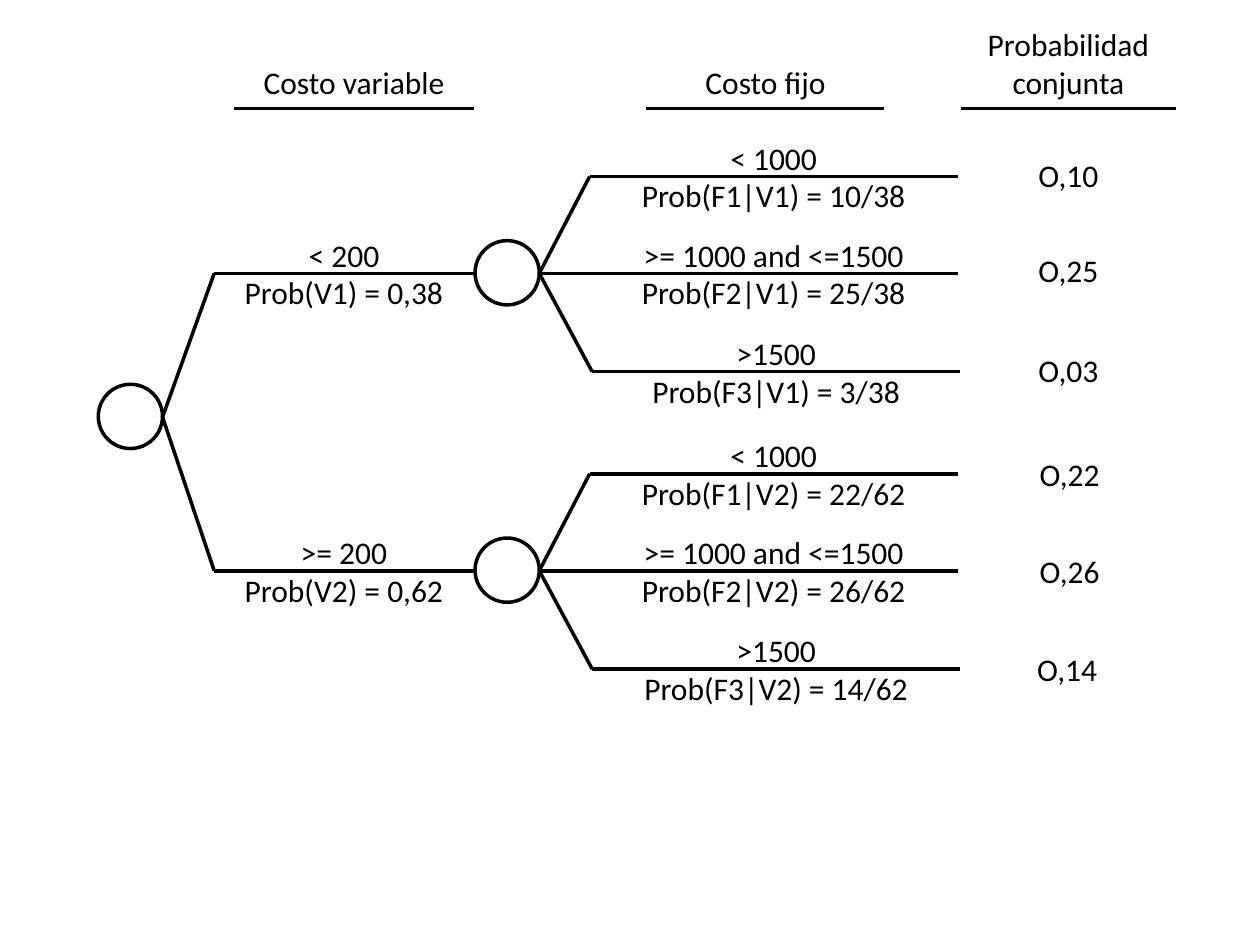
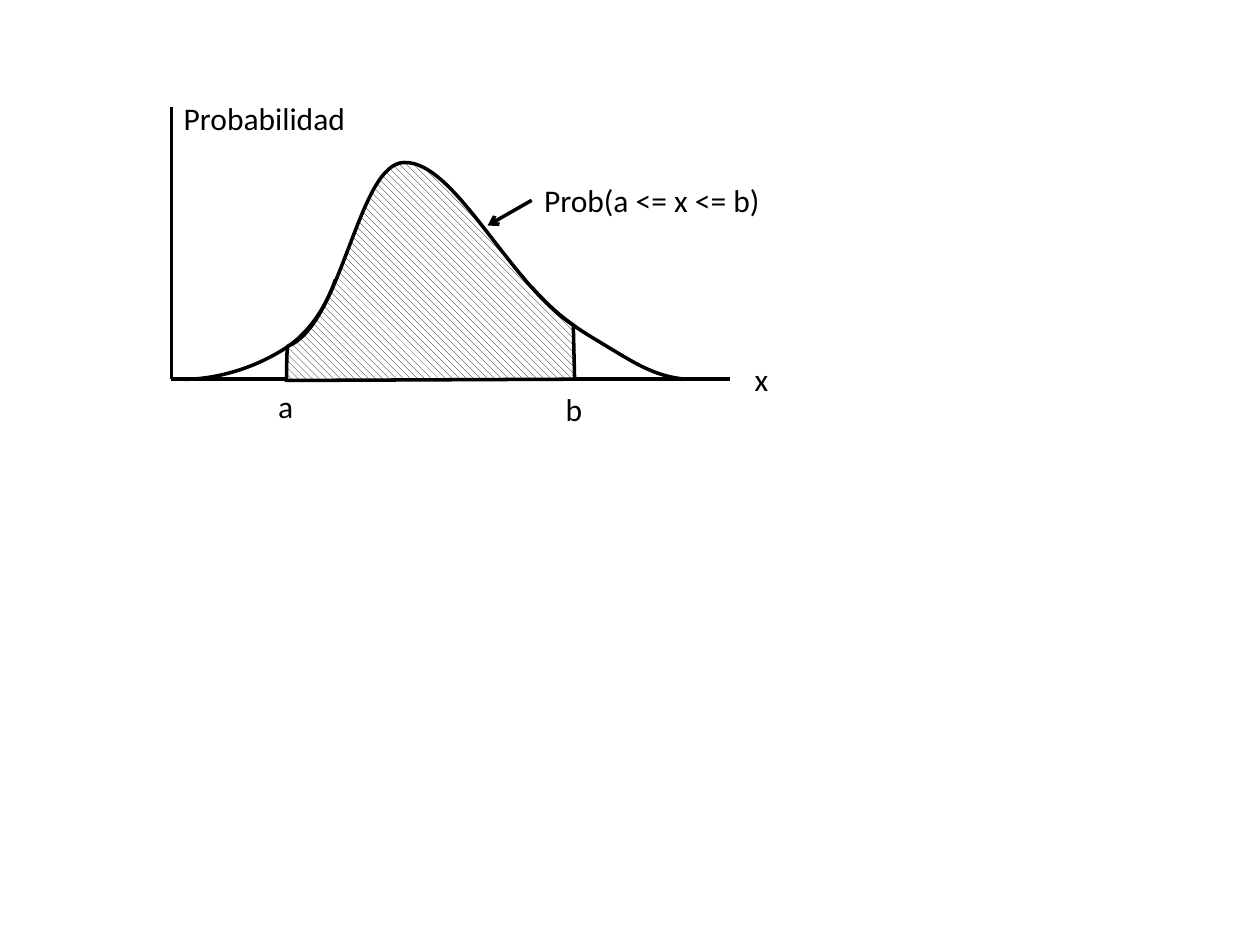
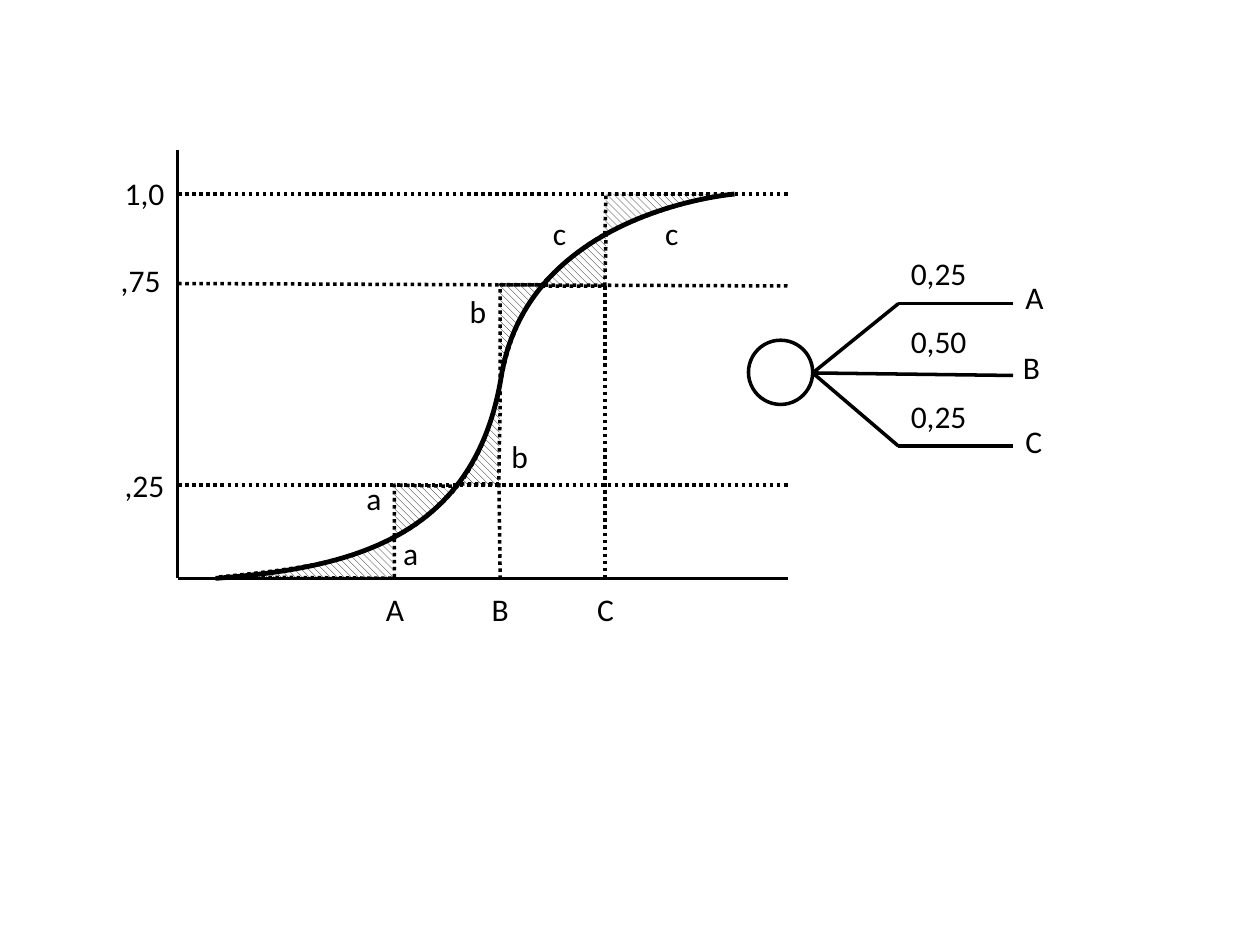
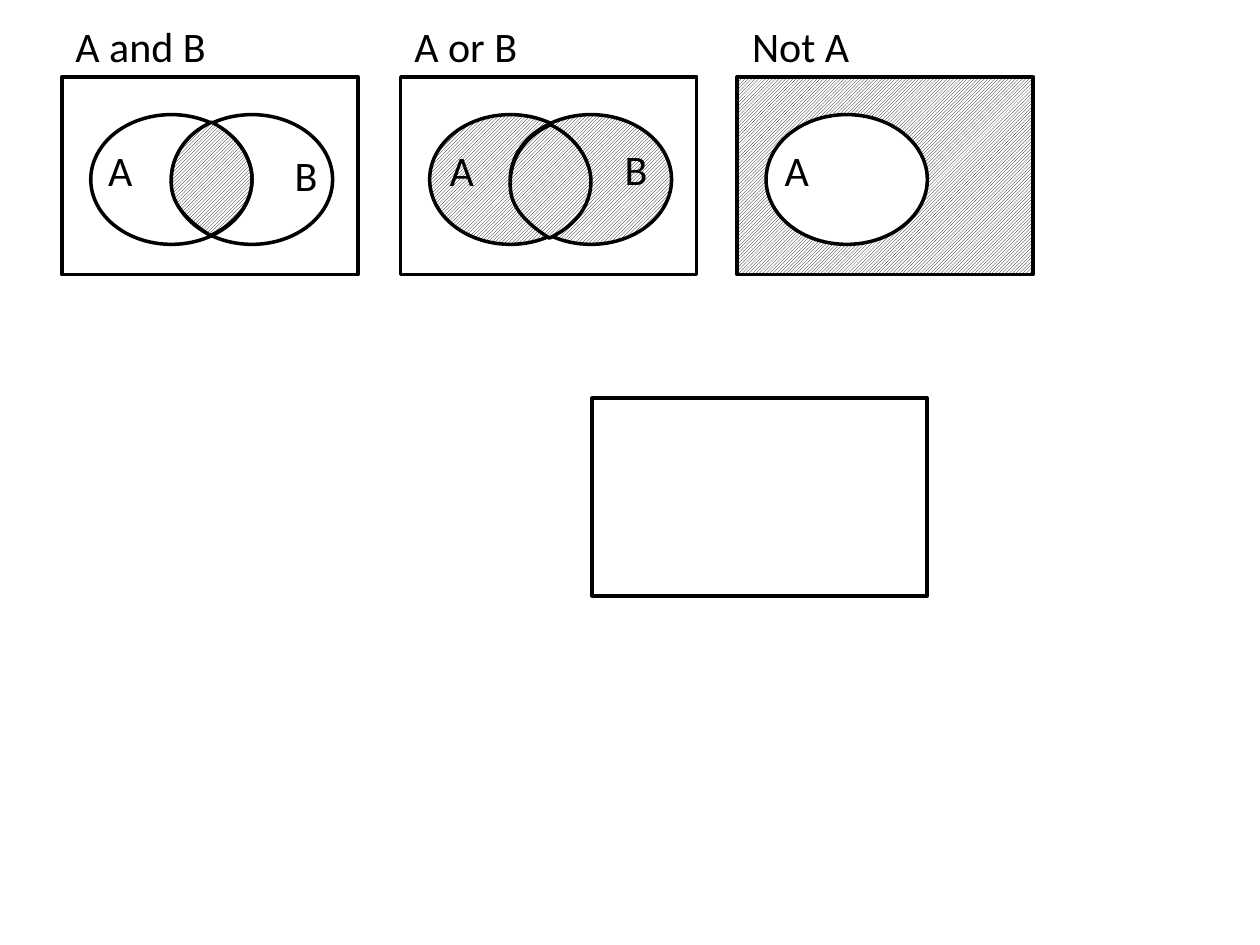
from lxml import etree
from pptx import Presentation
from pptx.dml.color import RGBColor
from pptx.enum import dml, shapes, text
from pptx.oxml import ns
from pptx.util import Pt

PX = 9144  # EMU per px, 100 px to the inch
BLACK = RGBColor(0x00, 0x00, 0x00)
WHITE = RGBColor(0xFF, 0xFF, 0xFF)
FONT = "Calibri"
BODY, LARGE = 18, 24
LEFT, CENTER = text.PP_ALIGN.LEFT, text.PP_ALIGN.CENTER
STRAIGHT = shapes.MSO_CONNECTOR.STRAIGHT
OVAL, RECT = shapes.MSO_SHAPE.OVAL, shapes.MSO_SHAPE.RECTANGLE
DOTS = dml.MSO_LINE.ROUND_DOT
WIDE_HATCH = dml.MSO_PATTERN.WIDE_DOWNWARD_DIAGONAL
DARK_HATCH = dml.MSO_PATTERN.DARK_UPWARD_DIAGONAL
NODE = 51  # diameter of a chance node


def ink(shape, hatch=None, hatch_color=BLACK, weight=2, dash=None):
    """Black outline, no shadow, and a hatched or empty inside."""
    shape.line.color.rgb = BLACK
    shape.line.width = Pt(weight)
    if dash:
        shape.line.dash_style = dash
    if not hasattr(shape, "fill"):
        etree.SubElement(shape._element.spPr, ns.qn("a:effectLst"))
        return shape
    shape.shadow.inherit = False
    if hatch:
        shape.fill.patterned()
        shape.fill.pattern = hatch
        shape.fill.fore_color.rgb = hatch_color
        shape.fill.back_color.rgb = WHITE
    else:
        shape.fill.background()
    return shape


def trace(slide, start, segments, closed=False, **style):
    """Outline of straight (x, y) and cubic (x1, y1, x2, y2, x, y) segments."""
    points = [(s[i] * PX, s[i + 1] * PX) for s in segments for i in range(0, len(s), 2)]
    builder = slide.shapes.build_freeform(start[0] * PX, start[1] * PX)
    builder.add_line_segments(points, close=closed)
    outline = builder.convert_to_shape()
    # Join the three steps of each cubic segment into one curve
    steps = iter(list(outline._element.iter(ns.qn("a:lnTo"))))
    for segment in segments:
        first = next(steps)
        if len(segment) == 6:
            first.tag = ns.qn("a:cubicBezTo")
            for step in (next(steps), next(steps)):
                first.append(step[0])
                step.getparent().remove(step)
    return ink(outline, **style)


prs = Presentation()
prs.slide_width, prs.slide_height = 1000 * PX, 750 * PX
tree, density, cumulative, venn = [
    prs.slides.add_slide(prs.slide_layouts[6]) for _ in range(4)]
labels = []  # slide, left, top, width, height, lines, size, alignment

# Slide 1: probability tree
headings = [(186, 45, 190, 40, "Costo variable"),
            (513, 45, 189, 40, "Costo fijo"),
            (763, 15, 170, 71, "Probabilidad conjunta")]
branches = [
    (217, "< 200", "Prob(V1) = 0,38",
     [("10/38", "O,10", 763, 119), ("25/38", "O,25", 763, 194), ("3/38", "O,03", 763, 274)]),
    (453, ">= 200", "Prob(V2) = 0,62",
     [("22/62", "O,22", 764, 356), ("26/62", "O,26", 764, 433), ("14/62", "O,14", 762, 511)])]
fixed_costs = [(-77, 468, "< 1000"), (0, 468, ">= 1000 and <=1500"), (78, 470, ">1500")]
tree_lines = []
tree_nodes = [(78, 305)]
for left, top, width, height, heading in headings:
    tree_lines.append((left + width, 86, left, 86))
    labels.append((tree, left, top, width, height, [heading], BODY, CENTER))
for number, (y, variable_cost, chance, outcomes) in enumerate(branches, 1):
    tree_nodes.append((377, y - 26))
    tree_lines += [(170, y, 129, 331), (376, y, 170, y)]
    labels.append((tree, 170, y - 35, 206, 71, [variable_cost, chance], BODY, CENTER))
    for rank, (offset, left, fixed_cost) in enumerate(fixed_costs, 1):
        share, joint, joint_left, joint_top = outcomes[rank - 1]
        row = y + offset
        if offset:
            tree_lines += [(left, row, 428, y), (left + 292, row, left, row)]
        else:
            tree_lines.append((760, y, 428, y))
        conditional = f"Prob(F{rank}|V{number}) = {share}"
        labels += [
            (tree, left, row - 35, 292, 71, [fixed_cost, conditional], BODY, CENTER),
            (tree, joint_left, joint_top, 170, 40, [joint], BODY, CENTER)]
for ends in tree_lines:
    ink(tree.shapes.add_connector(STRAIGHT, *[v * PX for v in ends]))
for left, top in tree_nodes:
    ink(tree.shapes.add_shape(OVAL, left * PX, top * PX, NODE * PX, NODE * PX))

# Slide 2: density curve with the area between a and b
for ends in [(136, 85, 136, 301), (136, 301, 579, 301)]:
    ink(density.shapes.add_connector(STRAIGHT, *[v * PX for v in ends]))
trace(density, (228, 275),
      [(272, 258, 284, 129, 321, 129), (361, 128, 404, 225, 455, 258),
       (456, 301), (227, 302), (228, 297, 227, 298, 228, 275)],
      closed=True, hatch=WIDE_HATCH)
trace(density, (147, 301), [(166, 301, 198, 295, 227, 276), (256, 257, 266, 222, 266, 222)])
trace(density, (422, 228), [(447, 256, 464, 264, 485, 277), (505, 289, 521, 299, 544, 301)])
pointer = ink(density.shapes.add_connector(
    STRAIGHT, *[v * PX for v in (422, 159, 387, 179)]))
etree.SubElement(pointer.line._get_or_add_ln(), ns.qn("a:tailEnd"), type="arrow")
for left, top, width, caption in [
        (136, 74, 150, "Probabilidad"), (589, 281, 31, "x"), (211, 302, 32, "a"),
        (439, 305, 33, "b"), (422, 139, 193, "Prob(a <= x <= b)")]:
    labels.append((density, left, top, width, 40, [caption], BODY, LEFT))

# Slide 3: cumulative curve with equal hatched areas
areas = [
    ((480, 186), [(481, 154), (579, 154), (542, 160, 512, 170, 480, 186)]),
    ((429, 227), [(447, 208, 461, 197, 481, 185), (480, 227), (429, 227)]),
    ((397, 305), [(397, 226), (430, 226), (413, 251, 404, 267, 397, 305)]),
    ((365, 384), [(385, 355, 388, 338, 397, 309), (397, 335, 396, 358, 396, 384), (365, 384)]),
    ((313, 426), [(313, 412, 313, 398, 313, 385), (363, 386), (352, 400, 329, 420, 313, 426)]),
    ((174, 458), [(223, 453, 276, 448, 313, 426), (313, 437, 313, 448, 313, 459), (174, 458)])]
for start, segments in areas:
    trace(cumulative, start, segments, closed=True, hatch=WIDE_HATCH, dash=DOTS)
for ends, dash in [
        ((141, 119, 141, 459), None), ((625, 459, 141, 459), None),
        ((625, 154, 141, 154), DOTS), ((625, 385, 141, 385), DOTS),
        ((625, 227, 141, 225), DOTS),
        ((480, 227, 480, 459), DOTS), ((396, 384, 397, 459), DOTS)]:
    ink(cumulative.shapes.add_connector(STRAIGHT, *[v * PX for v in ends]), dash=dash)
trace(cumulative, (171, 459),
      [(276, 451, 377, 429, 398, 298), (420, 167, 583, 154, 583, 154)], weight=2.75)

# Slide 3: the three-way chance node beside it
chance_node = cumulative.shapes.add_group_shape().shapes
ink(chance_node.add_shape(OVAL, 594 * PX, 270 * PX, NODE * PX, NODE * PX))
for ends in [(804, 241, 713, 241), (804, 354, 713, 354), (804, 298, 645, 296),
             (713, 241, 645, 296), (713, 354, 645, 296)]:
    ink(chance_node.add_connector(STRAIGHT, *[v * PX for v in ends]))
for left, top, width, caption, align in [
        (518, 165, 31, "c", LEFT), (429, 165, 31, "c", LEFT),
        (396, 342, 33, "b", LEFT), (363, 227, 33, "b", LEFT),
        (310, 419, 32, "a", LEFT), (281, 375, 32, "a", LEFT),
        (296, 463, 35, "A", CENTER), (380, 463, 34, "B", CENTER), (463, 463, 35, "C", CENTER),
        (89, 365, 52, ",25", LEFT), (89, 133, 52, "1,0", LEFT), (86, 202, 52, ",75", LEFT),
        (713, 197, 65, "0,25", LEFT), (713, 251, 65, "0,50", LEFT), (713, 310, 65, "0,25", LEFT),
        (804, 216, 35, "A", LEFT), (802, 271, 34, "B", LEFT), (804, 330, 34, "C", LEFT)]:
    labels.append((cumulative, left, top, width, 40, [caption], BODY, align))

# Slide 4: set diagrams; frame left, frame hatch, set hatch, hatch colour, sets, lens shift
diagrams = [(49, None, None, BLACK, 2, (0, 0)),
            (318, None, DARK_HATCH, BLACK, 2, (269, 2)),
            (585, DARK_HATCH, dml.MSO_PATTERN.DARK_DOWNWARD_DIAGONAL, WHITE, 1, None)]
lens = [(136, 127, 145, 107, 168, 97), (190, 108, 200, 127, 200, 142),
        (200, 157, 192, 175, 167, 187), (142, 171, 135, 157, 136, 142)]
ink(venn.shapes.add_shape(RECT, *[v * PX for v in (470, 316, 266, 157)]))
for left, frame_hatch, set_hatch, hatch_color, sets, shift in diagrams:
    frame = venn.shapes.add_shape(RECT, *[v * PX for v in (left, 61, 235, 157)])
    ink(frame, hatch=frame_hatch)
    for position in range(sets):
        box = (left + 23 + 64 * position, 91, 128, 103)
        ink(venn.shapes.add_shape(OVAL, *[v * PX for v in box]),
            hatch=set_hatch, hatch_color=hatch_color)
    if shift:
        moved = [[v + shift[i % 2] for i, v in enumerate(arc)] for arc in lens]
        trace(venn, (136 + shift[0], 142 + shift[1]), moved, closed=True, hatch=DARK_HATCH)
for left, top, width, caption in [
        (76, 110, 40, "A"), (224, 114, 39, "B"), (347, 110, 40, "A"),
        (486, 109, 39, "B"), (613, 110, 40, "A"),
        (50, 11, 125, "A and B"), (319, 11, 103, "A or B"), (587, 11, 99, "Not A")]:
    labels.append((venn, left, top, width, 50, [caption], LARGE, LEFT))

# Wording of all slides; only the tree's labels wrap
for slide, left, top, width, height, lines, size, align in labels:
    frame = slide.shapes.add_textbox(left * PX, top * PX, width * PX, height * PX).text_frame
    frame.word_wrap = slide is tree
    frame.auto_size = text.MSO_AUTO_SIZE.SHAPE_TO_FIT_TEXT
    frame.text = "\n".join(lines)
    for paragraph in frame.paragraphs:
        paragraph.alignment = align
        paragraph.font.name = FONT
        paragraph.font.size = Pt(size)
        paragraph.font.color.rgb = BLACK

prs.save("out.pptx")
